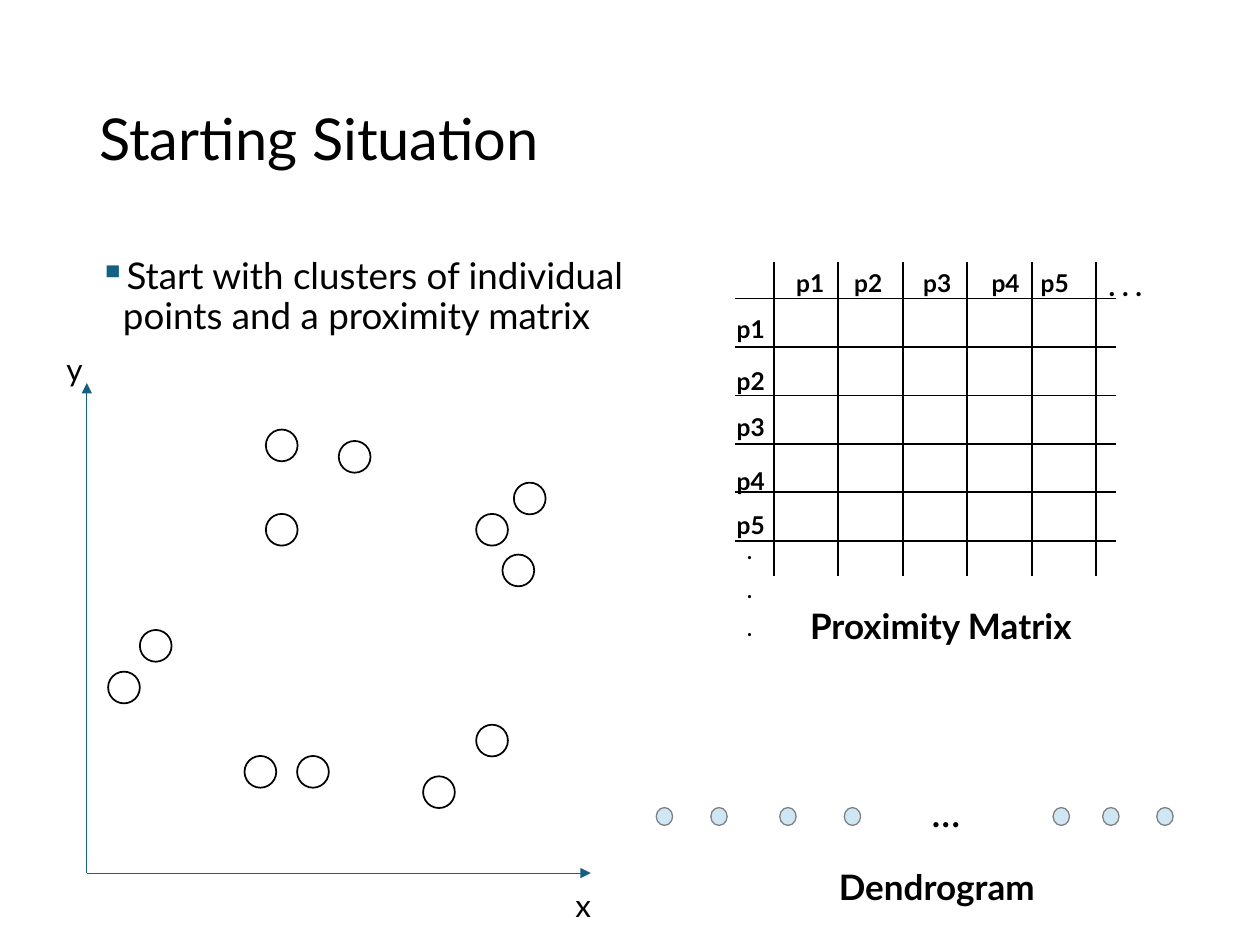
from lxml import etree
from pptx import Presentation
from pptx import util as u
from pptx.dml.color import RGBColor
from pptx.enum import shapes, text
from pptx.oxml import ns

BLACK = RGBColor(0x00, 0x00, 0x00)
WHITE = RGBColor(0xFF, 0xFF, 0xFF)
TEAL = RGBColor(0x15, 0x60, 0x82)
PALE_BLUE = RGBColor(0xCF, 0xE7, 0xF5)
GREY = RGBColor(0x80, 0x80, 0x80)

prs = Presentation()
prs.slide_width, prs.slide_height = u.Cm(25.4), u.Cm(19.05)
s = prs.slides.add_slide(prs.slide_layouts[6])


def add_text(content, x, y, w, h, size=14, bold=False, wrap=True, anchor=text.MSO_ANCHOR.TOP,
             spacing=None, gap=0, bullet=None, grow=True):
    """Add a text box in cm; each line of content is a paragraph, gap points apart."""
    tf = s.shapes.add_textbox(u.Cm(x), u.Cm(y), u.Cm(w), u.Cm(h)).text_frame
    tf.word_wrap = wrap
    tf.vertical_anchor = anchor
    tf.auto_size = text.MSO_AUTO_SIZE.SHAPE_TO_FIT_TEXT if grow else text.MSO_AUTO_SIZE.NONE
    for i, line in enumerate(content.split("\n")):
        p = tf.add_paragraph() if i else tf.paragraphs[0]
        if i:
            p.space_before = u.Pt(gap)
        if spacing:
            p.line_spacing = spacing
        if bullet:
            pPr = p._p.get_or_add_pPr()
            pPr.set("marL", str(u.Cm(0.48)))
            pPr.set("indent", str(u.Cm(-0.48)))
            color = etree.SubElement(pPr, ns.qn("a:buClr"))
            etree.SubElement(color, ns.qn("a:srgbClr"), val=str(TEAL))
            etree.SubElement(pPr, ns.qn("a:buChar"), char=bullet)
        r = p.add_run()
        r.text = line
        r.font.name, r.font.size, r.font.bold = "Lato", u.Pt(size), bold
        r.font.color.rgb = BLACK


def add_line(x1, y1, x2, y2, color=BLACK, width=1, arrow=False):
    c = s.shapes.add_connector(shapes.MSO_CONNECTOR.STRAIGHT, u.Cm(x1), u.Cm(y1), u.Cm(x2), u.Cm(y2))
    c.line.color.rgb, c.line.width = color, u.Pt(width)
    if arrow:
        etree.SubElement(c.line._get_or_add_ln(), ns.qn("a:tailEnd"), type="triangle")
    etree.SubElement(c._element.spPr, ns.qn("a:effectLst"))


add_text("Starting Situation", 1.75, 1.02, 21.9, 3.68, size=33, spacing=0.9,
         anchor=text.MSO_ANCHOR.MIDDLE, grow=False)
add_text("Start with clusters of individual points and a proximity matrix", 1.75, 5.08, 11.38, 12.09,
         size=21, spacing=0.9, bullet="▪", grow=False)

# Proximity matrix
for i in range(6):
    x, y = 15.6 + 1.3 * i, 6.02 + 4.88 * i / 5
    add_line(x, 5.28, x, 11.61)
    add_line(14.81, y, 22.5, y)
row_tops = [6.2, 7.26, 8.18, 9.27, 10.16]
column_lefts = [15.8, 16.97, 18.36, 19.74, 20.73]
for i, (top, left) in enumerate(zip(row_tops, column_lefts), start=1):
    add_text(f"p{i}", 14.6, top, 1.37, 0.86, bold=True)
    add_text(f"p{i}", left, 5.28, 1.37, 0.86, bold=True)
add_text(". . .", 22.1, 5.28, 1.37, 0.94, size=16, bold=True)
add_text(".\n.\n.", 14.81, 10.74, 0.79, 2.36, size=12, bold=True, gap=7.5)
add_text("Proximity Matrix", 16.08, 12.07, 6.99, 1.12, size=20, bold=True)

# Dendrogram leaves and scattered points
add_text("...", 18.52, 15.72, 1.14, 1.8, size=24, wrap=False, grow=False)
add_text("Dendrogram", 16.66, 17.32, 6.99, 1.12, size=20, bold=True)
leaves = [(x, 16.28) for x in (13.23, 14.33, 15.72, 17.02, 21.23, 22.23, 23.32)]
points = [(2.82, 12.7), (8.53, 15.65), (5.36, 10.36), (4.93, 15.24), (9.6, 10.36), (5.36, 8.66),
          (2.18, 13.54), (5.99, 15.24), (9.6, 14.61), (6.83, 8.89), (10.13, 11.18), (10.36, 9.73)]
for centers, w, h, fill, outline, width in [(leaves, 0.33, 0.36, PALE_BLUE, GREY, 0.75),
                                            (points, 0.64, 0.64, WHITE, BLACK, 1)]:
    for x, y in centers:
        sp = s.shapes.add_shape(shapes.MSO_SHAPE.OVAL, u.Cm(x), u.Cm(y), u.Cm(w), u.Cm(h))
        sp.shadow.inherit = False
        sp.fill.solid()
        sp.fill.fore_color.rgb = fill
        sp.line.color.rgb, sp.line.width = outline, u.Pt(width)

# Axes
add_line(1.75, 17.6, 1.75, 7.72, TEAL, 0.5, arrow=True)
add_line(1.75, 17.6, 11.91, 17.6, TEAL, 0.5, arrow=True)
add_text("x", 11.35, 17.73, 0.79, 1.02, size=18, wrap=False)
add_text("y", 1.09, 6.93, 0.81, 1.02, size=18, wrap=False)

prs.save("out.pptx")
